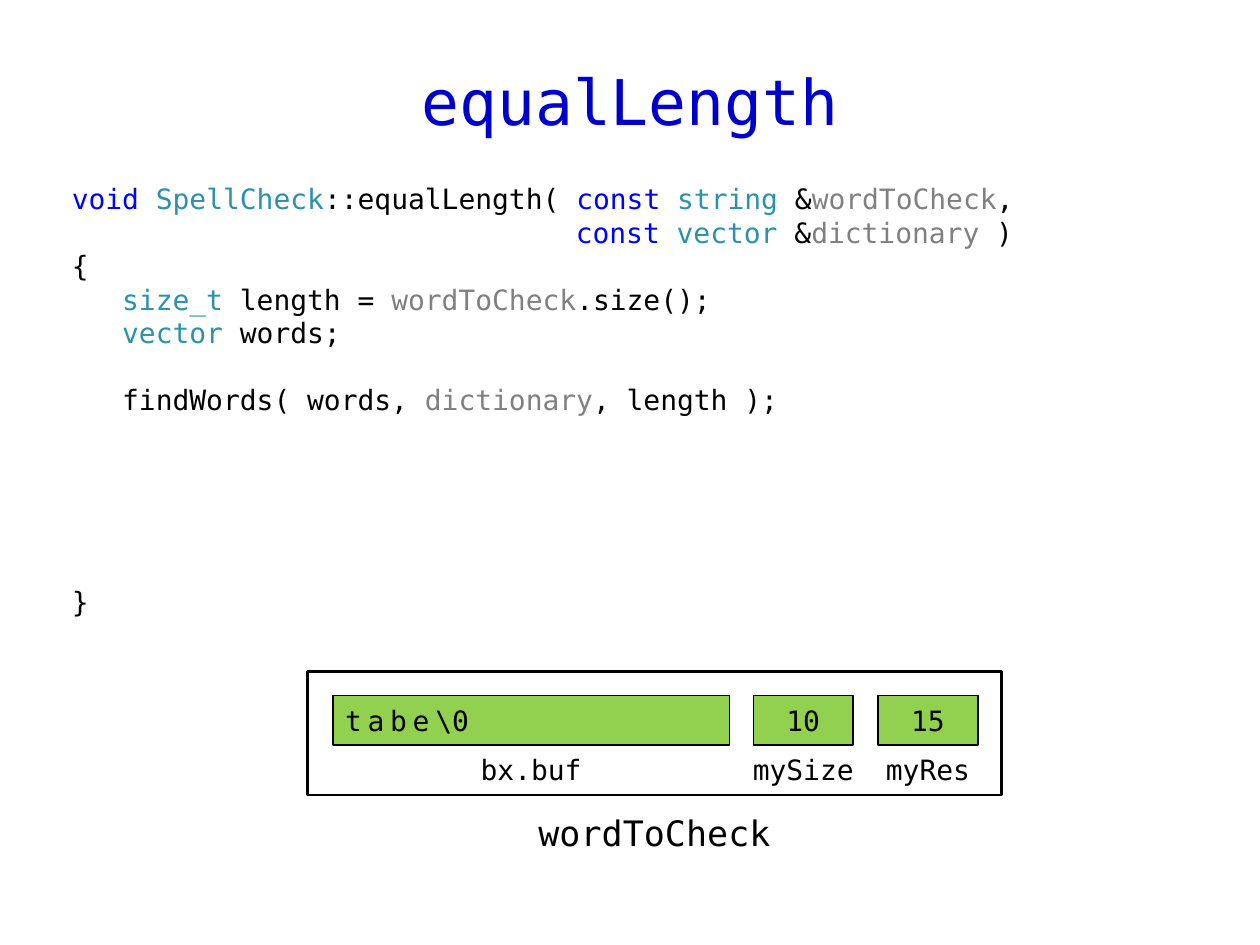
from dataclasses import dataclass

from pptx import Presentation
from pptx.dml.color import RGBColor
from pptx.enum.shapes import MSO_SHAPE
from pptx.enum.text import MSO_ANCHOR, MSO_AUTO_SIZE, PP_ALIGN
from pptx.util import Inches, Pt

RECT = MSO_SHAPE.RECTANGLE
FRAME = MSO_SHAPE.FLOWCHART_PROCESS
MIDDLE, TOP = MSO_ANCHOR.MIDDLE, MSO_ANCHOR.TOP
LEFT, CENTER = PP_ALIGN.LEFT, PP_ALIGN.CENTER
FIXED = MSO_AUTO_SIZE.NONE

FONT = "DejaVu Sans Mono"
COLORS = {
    "title": "0000CC", "key": "0000FF", "type": "2B91AF", "param": "808080",
    "text": "000000", "cell": "92D050", "paper": "FFFFFF",
}
CODE_SIZE = 16
LINE = 19.2  # code line pitch in points
CHAR = 0.6 * CODE_SIZE / 72  # width of one code character in inches


@dataclass
class Row:
    """A line of code: coloured tokens, indent in characters, empty lines above."""
    tokens: list[tuple[str, str]]
    indent: int = 0
    gap: int = 0


@dataclass
class Cell:
    """A data member: its label, place, and value as (text, spacing) pairs."""
    label: str
    left: float
    width: float
    value: list[tuple[str, float]]
    align: PP_ALIGN = CENTER


CODE = [
    Row([("void ", "key"), ("SpellCheck", "type"), ("::equalLength( ", "text"),
         ("const ", "key"), ("string", "type"), (" &", "text"),
         ("wordToCheck", "param"), (",", "text")]),
    Row([("const ", "key"), ("vector", "type"), (" &", "text"),
         ("dictionary", "param"), (" )", "text")], indent=30),
    Row([("{", "text")]),
    Row([("size_t", "type"), (" length = ", "text"), ("wordToCheck", "param"),
         (".size();", "text")], indent=3),
    Row([("vector", "type"), (" words;", "text")], indent=3),
    Row([("findWords( words, ", "text"), ("dictionary", "param"),
         (", length );", "text")], indent=3, gap=1),
    Row([("}", "text")], gap=5),
]
CELLS = [
    Cell("bx.buf", 2.64, 3.15, [("tabe", 3.3), ("\\", -1.5), ("0", 0)], LEFT),
    Cell("mySize", 5.98, 0.79, [("10", 0)]),
    Cell("myRes", 6.97, 0.79, [("15", 0)]),
]
BOX_LEFT, BOX_TOP, BOX_WIDTH, BOX_HEIGHT = 2.44, 5.33, 5.51, 0.98
CELL_TOP, CELL_HEIGHT = 5.52, 0.39


def color(name: str) -> RGBColor:
    return RGBColor.from_string(COLORS[name])


def style(run, size: float, name: str = "text") -> None:
    run.font.name = FONT
    run.font.size = Pt(size)
    run.font.color.rgb = color(name)


def place(shape, left: float, top: float, width: float, height: float) -> None:
    shape.left, shape.top = Inches(left), Inches(top)
    shape.width, shape.height = Inches(width), Inches(height)


def add_box(slide, kind, left: float, top: float, width: float, height: float,
            fill: str, line: float):
    box = slide.shapes.add_shape(
        kind, Inches(left), Inches(top), Inches(width), Inches(height))
    box.shadow.inherit = False
    box.fill.solid()
    box.fill.fore_color.rgb = color(fill)
    box.line.color.rgb = color("text")
    box.line.width = Pt(line)
    return box


def add_label(slide, text: str, mid: float, top: float, width: float,
              height: float, size: float) -> None:
    """Add a caption centred on mid."""
    label = slide.shapes.add_textbox(
        Inches(mid - width / 2), Inches(top), Inches(width), Inches(height))
    frame = label.text_frame
    frame.word_wrap = True
    frame.vertical_anchor = MIDDLE
    frame.text = text
    frame.paragraphs[0].alignment = CENTER
    style(frame.paragraphs[0].runs[0], size)


def add_cell(slide, cell: Cell) -> None:
    box = add_box(slide, RECT, cell.left, CELL_TOP, cell.width, CELL_HEIGHT,
                  "cell", 1)
    box.text_frame.vertical_anchor = MIDDLE
    par = box.text_frame.paragraphs[0]
    par.alignment = cell.align
    for text, space in cell.value:
        run = par.add_run()
        run.text = text
        style(run, CODE_SIZE)
        run._r.get_or_add_rPr().set("spc", str(round(space * 100)))
    add_label(slide, cell.label, cell.left + cell.width / 2,
              CELL_TOP + CELL_HEIGHT, 1.18, CELL_HEIGHT, CODE_SIZE)


def write_row(par, row: Row) -> None:
    par.alignment = LEFT
    par.line_spacing = Pt(LINE)
    par.space_before = Pt(row.gap * LINE)
    par.space_after = Pt(0)
    props = par._p.get_or_add_pPr()
    props.set("marL", str(Inches(row.indent * CHAR)))
    props.set("indent", "0")
    props.append(props.makeelement(
        "{http://schemas.openxmlformats.org/drawingml/2006/main}buNone"))
    for text, name in row.tokens:
        run = par.add_run()
        run.text = text
        style(run, CODE_SIZE, name)


def main() -> None:
    deck = Presentation()
    deck.slide_width, deck.slide_height = Inches(10), Inches(7.5)
    slide = deck.slides.add_slide(deck.slide_layouts[1])

    # Title
    title = slide.shapes.title
    place(title, 0.47, 0.21, 9.06, 1.18)
    frame = title.text_frame
    frame.auto_size = FIXED
    frame.vertical_anchor = MIDDLE
    frame.text = "equalLength"
    frame.paragraphs[0].alignment = CENTER
    style(frame.paragraphs[0].runs[0], 36, "title")

    # Code
    body = slide.placeholders[1]
    place(body, 0.47, 1.39, 9.06, 3.54)
    frame = body.text_frame
    frame.auto_size = FIXED
    frame.vertical_anchor = TOP
    for num, row in enumerate(CODE):
        write_row(frame.add_paragraph() if num else frame.paragraphs[0], row)

    # String object with its members
    add_box(slide, FRAME, BOX_LEFT, BOX_TOP, BOX_WIDTH, BOX_HEIGHT, "paper", 1.5)
    for cell in CELLS:
        add_cell(slide, cell)
    add_label(slide, "wordToCheck", BOX_LEFT + BOX_WIDTH / 2,
              BOX_TOP + BOX_HEIGHT, 2.36, 0.59, 20)

    deck.save("out.pptx")


if __name__ == "__main__":
    main()
